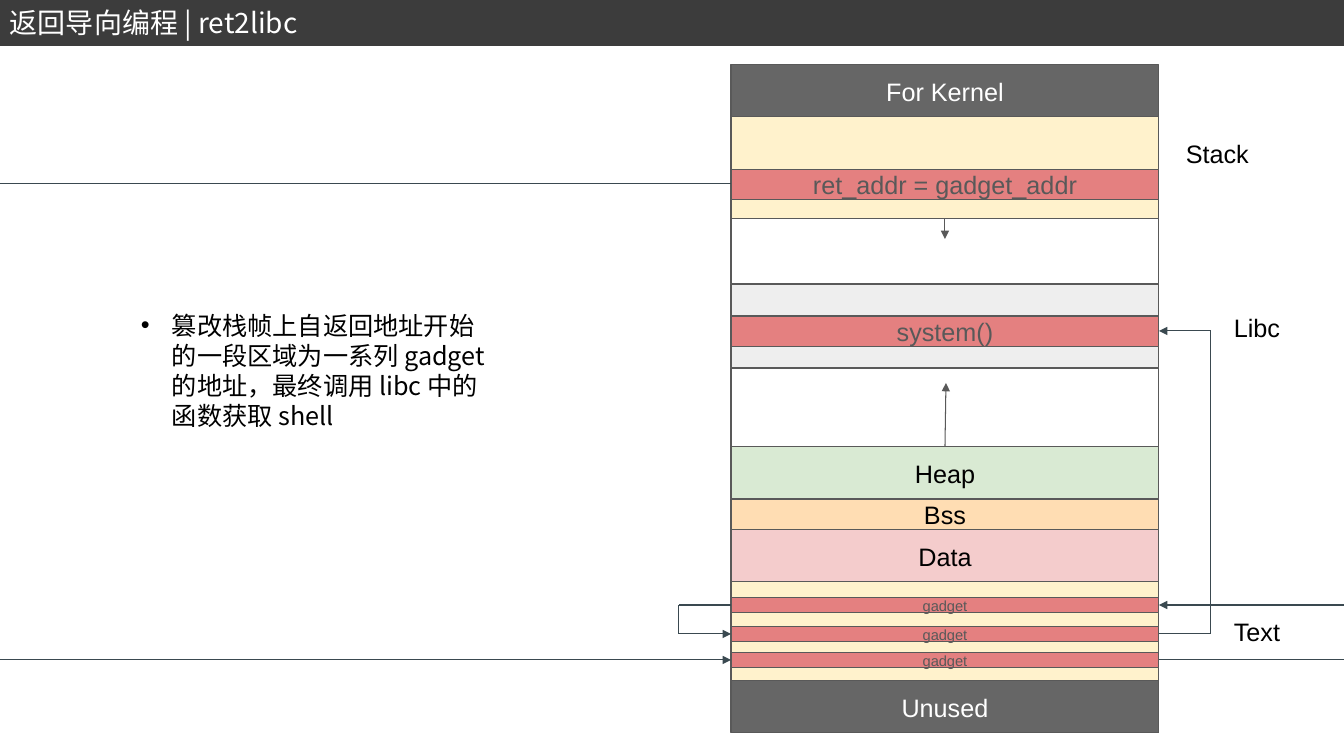
import pptx
import pptx.util
import pptx.dml.color
import pptx.enum.shapes
import pptx.enum.text
import pptx.oxml.ns
from lxml import etree

SCALE = 914400 / 100.8
WIDE, HIGH = 1344, 756
LEFT, SPAN = 731, 428
RIGHT = LEFT + SPAN
MID = LEFT + SPAN // 2
LATIN, HAN = "Arial", "Noto Sans CJK SC"

COLORS = {
    "bar": "3C3C3C", "dark": "666666", "edge": "595959", "wire": "3A4950",
    "cream": "FFF2CC", "white": "FFFFFF", "gray": "EEEEEE", "green": "D9EAD3",
    "orange": "FFDDB3", "pink": "F4CCCC", "red": "E48080", "black": "000000",
}

# Memory from top to bottom: label, height, fill, text color
TOP = 65
AREAS = [
    ("For Kernel", 52, "dark", "white"),
    ("", 102, "cream", "black"),
    ("", 65, "white", "black"),
    ("", 84, "gray", "black"),
    ("", 79, "white", "black"),
    ("Heap", 52, "green", "black"),
    ("Bss", 31, "orange", "black"),
    ("Data", 52, "pink", "black"),
    ("", 99, "cream", "black"),
    ("Unused", 52, "dark", "white"),
]
# Overwritten parts: label, top, height, text size
HITS = [
    ("ret_addr = gadget_addr", 169, 31, 18),
    ("system()", 316, 31, 18),
    ("gadget", 598, 15, 10.5),
    ("gadget", 627, 15, 10.5),
    ("gadget", 653, 15, 10.5),
]
RET, CALL, HIGHER, MIDDLE, LOWER = [top + high // 2 for _, top, high, _ in HITS]
# Routes: color, points; each ends in an arrowhead if the last item is True
ROUTES = [
    ("edge", [(MID, 219), (MID, 239)], True),
    ("edge", [(MID, 447), (MID + 1, 383)], True),
    ("wire", [(LEFT, RET), (0, RET)], False),
    ("wire", [(0, LOWER), (LEFT, LOWER)], True),
    ("wire", [(RIGHT, LOWER), (WIDE, LOWER)], False),
    ("wire", [(WIDE, HIGHER), (RIGHT, HIGHER)], True),
    ("wire", [(LEFT, HIGHER), (679, HIGHER), (679, MIDDLE), (LEFT, MIDDLE)], True),
    ("wire", [(RIGHT, MIDDLE), (1211, MIDDLE), (1211, CALL), (RIGHT, CALL)], True),
]
# Text, place, size, font, color, line height in points
NOTES = [
    ("Stack", (1176, 133, 95, 40), 18, LATIN, "black", None),
    ("Libc", (1224, 307, 95, 40), 18, LATIN, "black", None),
    ("Text", (1224, 611, 95, 40), 18, LATIN, "black", None),
    ("返回导向编程 | ret2libc", (0, 1, 622, 44), 20, HAN, "white", 24),
]
POINT = ("篡改栈帧上自返回地址开始的一段区域为一系列 gadget 的地址，最终调用 libc 中的函数获取 shell",
         (131, 305, 371, 132), 18, HAN, "black", 21.6)


def px(num):
    return round(num * SCALE)


def rgb(name):
    return pptx.dml.color.RGBColor.from_string(COLORS[name])


def add_tag(node, name, **attrs):
    return etree.SubElement(node, pptx.oxml.ns.qn(name), **attrs)


def style(para, size, face, color):
    for run in para.runs:
        run.font.size = pptx.util.Pt(size)
        run.font.name = face
        run.font.color.rgb = rgb(color)
        if face == HAN:
            add_tag(run.font._element, "a:ea", typeface=face)


def add_box(place, fill, edge="edge", width=0.75, label="", size=18, color="black"):
    box = slide.shapes.add_shape(pptx.enum.shapes.MSO_SHAPE.RECTANGLE, *map(px, place))
    box.shadow.inherit = False
    box.fill.solid()
    box.fill.fore_color.rgb = rgb(fill)
    box.line.color.rgb = rgb(edge)
    box.line.width = pptx.util.Pt(width)
    if label:
        frame = box.text_frame
        frame.margin_left = frame.margin_right = pptx.util.Inches(0.1)
        frame.margin_top = frame.margin_bottom = pptx.util.Inches(0.1)
        frame.vertical_anchor = pptx.enum.text.MSO_ANCHOR.MIDDLE
        frame.text = label
        para = frame.paragraphs[0]
        para.alignment = pptx.enum.text.PP_ALIGN.CENTER
        style(para, size, LATIN, color)


def add_line(start, end, color, arrow):
    line = slide.shapes.add_connector(
        pptx.enum.shapes.MSO_CONNECTOR.STRAIGHT, *map(px, start + end))
    line.line.color.rgb = rgb(color)
    line.line.width = pptx.util.Pt(0.75)
    if arrow:
        add_tag(line.line._get_or_add_ln(), "a:tailEnd", type="triangle")
    add_tag(line._element.spPr, "a:effectLst")


def add_note(text, place, size, face, color, pitch, bullet=False):
    frame = slide.shapes.add_textbox(*map(px, place)).text_frame
    frame.word_wrap = True
    frame.text = text
    para = frame.paragraphs[0]
    if pitch:
        para.line_spacing = pptx.util.Pt(pitch)
    if bullet:
        props = para._p.get_or_add_pPr()
        props.set("marL", str(px(31)))
        props.set("indent", str(-px(31)))
        add_tag(props, "a:buFont", typeface=LATIN)
        add_tag(props, "a:buChar", char="•")
    style(para, size, face, color)


deck = pptx.Presentation()
deck.slide_width, deck.slide_height = px(WIDE), px(HIGH)
slide = deck.slides.add_slide(deck.slide_layouts[6])

add_box((0, 1, WIDE, 44), "bar", "bar", 2)
top = TOP
for label, high, fill, color in AREAS:
    add_box((LEFT, top, SPAN, high), fill, label=label, color=color)
    top += high
for label, top, high, size in HITS:
    add_box((LEFT, top, SPAN, high), "red", label=label, size=size, color="edge")
for color, spots, arrow in ROUTES:
    for step, (start, end) in enumerate(zip(spots, spots[1:]), 2):
        add_line(start, end, color, arrow and step == len(spots))
for note in NOTES:
    add_note(*note)
add_note(*POINT, bullet=True)

deck.save("out.pptx")
